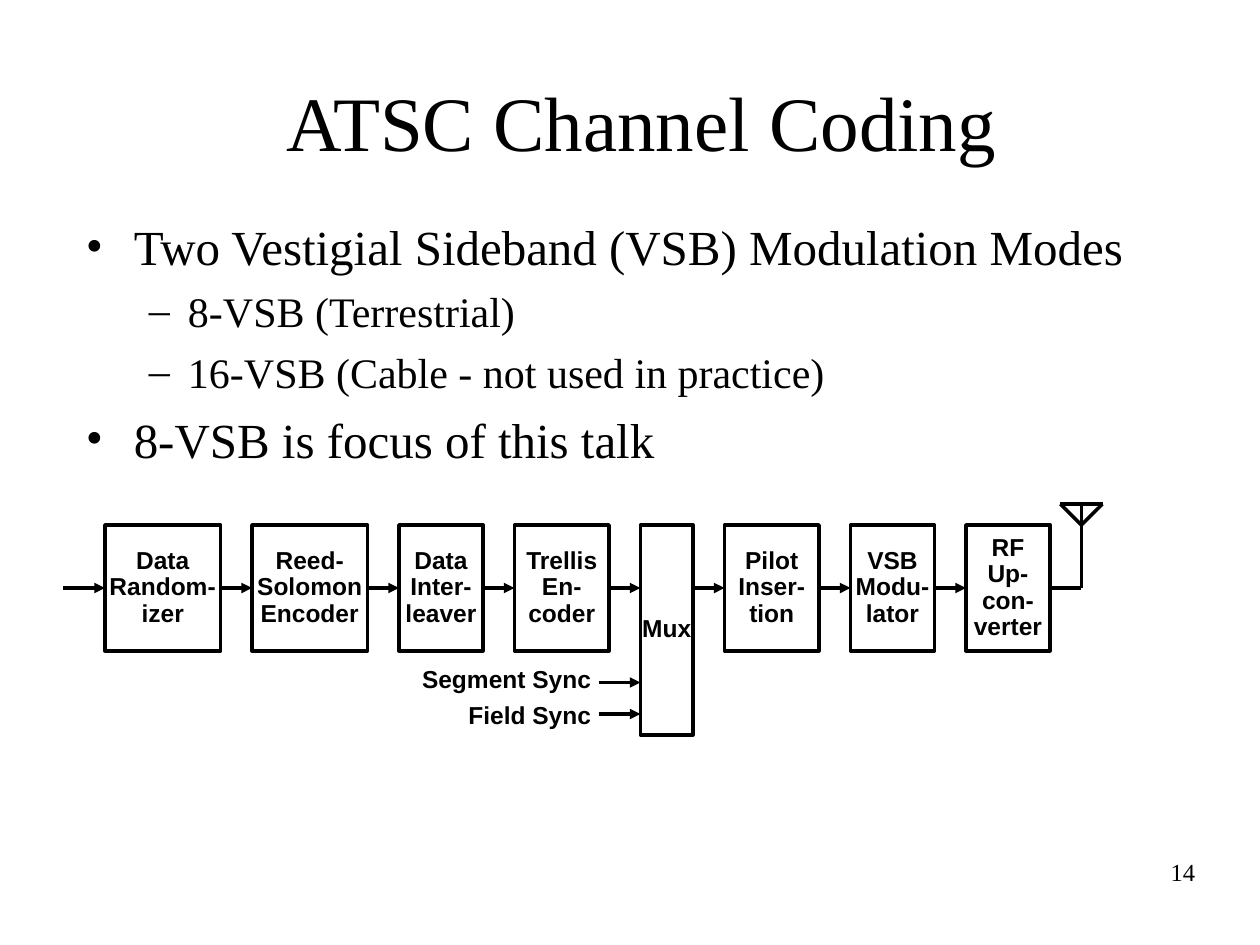
from dataclasses import dataclass
from typing import Optional

import pptx
import pptx.dml.color
import pptx.enum.shapes
import pptx.enum.text
import pptx.oxml
import pptx.oxml.ns
import pptx.util

Inches, Pt = pptx.util.Inches, pptx.util.Pt
ALIGN = pptx.enum.text.PP_ALIGN
ANCHOR = pptx.enum.text.MSO_ANCHOR
LEFT_SIDE, RIGHT_SIDE = 1, 3


@dataclass(frozen=True)
class Theme:
    ink: str = "000000"
    paper: str = "FFFFFF"
    serif: str = "Times New Roman"
    sans: str = "Arial"
    title: float = 44
    bullet: float = 28
    sub_bullet: float = 24
    label: float = 14
    line: float = 2


THEME = Theme()


@dataclass(frozen=True)
class Block:
    lines: tuple[str, ...]
    columns: int
    rows: int = 12


@dataclass(frozen=True)
class Bullet:
    text: str
    level: int = 0


# The slide is a grid of 120 columns by 90 rows.
CELLS_PER_INCH = 12
GAP = 3
FIRST_COLUMN = 10
TOP_ROW = 50
SIGNAL_ROW = 56
SYNC_ROWS = (65, 68)
LEAD = 4

BLOCKS = (
    Block(("Data", "Random-", "izer"), 11),
    Block(("Reed-", "Solomon", "Encoder"), 11),
    Block(("Data", "Inter-", "leaver"), 8),
    Block(("Trellis", "En-", "coder"), 9),
    Block(("Mux",), 5, 20),
    Block(("Pilot", "Inser-", "tion"), 9),
    Block(("VSB", "Modu-", "lator"), 8),
    Block(("RF", "Up-", "con-", "verter"), 8),
)
MUX = 4

BULLETS = (
    Bullet("Two Vestigial Sideband (VSB) Modulation Modes"),
    Bullet("8-VSB (Terrestrial)", 1),
    Bullet("16-VSB (Cable - not used in practice)", 1),
    Bullet("8-VSB is focus of this talk"),
)


def grid(cells: float) -> int:
    return Inches(cells / CELLS_PER_INCH)


def color(value: str) -> pptx.dml.color.RGBColor:
    return pptx.dml.color.RGBColor.from_string(value)


def add_xml(parent, tag: str, **attributes: str):
    element = pptx.oxml.parse_xml(f"<a:{tag} {pptx.oxml.ns.nsdecls('a')}/>")
    for name, value in attributes.items():
        element.set(name, value)
    parent.append(element)
    return element


def write(frame, lines, *, size: float, font: str = THEME.serif, bold: bool = False,
          align=ALIGN.LEFT, anchor=ANCHOR.TOP, spacing: Optional[float] = None,
          gap: float = 0, wrap: bool = True, margins=(0.1, 0.05, 0.1, 0.05)) -> None:
    """Fill a text frame, one paragraph per line; margins run left, top, right, bottom."""
    frame.word_wrap = wrap
    frame.auto_size = pptx.enum.text.MSO_AUTO_SIZE.NONE
    frame.vertical_anchor = anchor
    (frame.margin_left, frame.margin_top,
     frame.margin_right, frame.margin_bottom) = map(Inches, margins)
    for index, text in enumerate(lines):
        paragraph = frame.add_paragraph() if index else frame.paragraphs[0]
        paragraph.alignment = align
        if spacing:
            paragraph.line_spacing = spacing
        if index and gap:
            paragraph.space_before = Pt(gap)
        run = paragraph.add_run()
        run.text = text
        run.font.name, run.font.size, run.font.bold = font, Pt(size), bold
        run.font.color.rgb = color(THEME.ink)


def add_text_box(slide, left: float, top: float, width: float, height: float):
    return slide.shapes.add_textbox(*map(grid, (left, top, width, height))).text_frame


def add_bullets(slide) -> None:
    frame = add_text_box(slide, 7, 20, 105, 26)
    write(frame, [bullet.text for bullet in BULLETS], size=THEME.bullet)
    for index, (paragraph, bullet) in enumerate(zip(frame.paragraphs, BULLETS)):
        paragraph.level = bullet.level
        margin, hanging, before, mark = (
            (0.81, 0.31, 6, "–") if bullet.level else (0.38, 0.38, 7, "•"))
        if index:
            paragraph.space_before = Pt(before)
        if bullet.level:
            paragraph.runs[0].font.size = Pt(THEME.sub_bullet)
        properties = paragraph._p.get_or_add_pPr()
        properties.set("marL", str(Inches(margin)))
        properties.set("indent", str(-Inches(hanging)))
        add_xml(add_xml(properties, "buClr"), "srgbClr", val=THEME.ink)
        add_xml(properties, "buFont", typeface=THEME.serif)
        add_xml(properties, "buChar", char=mark)


def add_block(slide, block: Block, column: float):
    shape = slide.shapes.add_shape(
        pptx.enum.shapes.MSO_SHAPE.RECTANGLE,
        *map(grid, (column, TOP_ROW, block.columns, block.rows)))
    shape.shadow.inherit = False
    shape.fill.solid()
    shape.fill.fore_color.rgb = color(THEME.paper)
    shape.line.color.rgb = color(THEME.ink)
    shape.line.width = Pt(THEME.line)
    write(shape.text_frame, block.lines, size=THEME.label, font=THEME.sans, bold=True,
          align=ALIGN.CENTER, anchor=ANCHOR.MIDDLE, spacing=0.9, wrap=False,
          margins=(0, 0, 0, 0))
    return shape


def add_line(slide, start: tuple[float, float], end: tuple[float, float], *,
             arrow: bool = False, source=None, target=None) -> None:
    """Draw a line between grid points, joined to source and target blocks if given."""
    connector = slide.shapes.add_connector(
        pptx.enum.shapes.MSO_CONNECTOR.STRAIGHT, *map(grid, (*start, *end)))
    connector.line.color.rgb = color(THEME.ink)
    connector.line.width = Pt(THEME.line)
    if arrow:
        add_xml(connector.line._get_or_add_ln(), "tailEnd", type="triangle")
    add_xml(connector._element.spPr, "effectLst")
    if source is not None:
        connector.begin_connect(source, RIGHT_SIDE)
    if target is not None:
        connector.end_connect(target, LEFT_SIDE)


def add_chain(slide) -> None:
    column, start, source = FIRST_COLUMN, FIRST_COLUMN - LEAD, None
    for index, block in enumerate(BLOCKS):
        shape = add_block(slide, block, column)
        # The signal meets the tall Mux above the middle of its sides.
        joint = None if index == MUX else shape
        add_line(slide, (start, SIGNAL_ROW), (column, SIGNAL_ROW),
                 arrow=True, source=source, target=joint)
        if index == MUX:
            add_sync_inputs(slide, column)
        start, source = column + block.columns, joint
        column = start + GAP
    add_antenna(slide, start, source)


def add_sync_inputs(slide, column: float) -> None:
    for row in SYNC_ROWS:
        add_line(slide, (column - LEAD, row), (column, row), arrow=True)
    frame = add_text_box(slide, 39, 63, 18.5, 7)
    write(frame, ("Segment Sync", "Field Sync"), size=THEME.label, font=THEME.sans,
          bold=True, align=ALIGN.RIGHT, anchor=ANCHOR.MIDDLE, spacing=0.9, gap=5.5,
          margins=(0, 0.05, 0.1, 0.05))


def add_antenna(slide, start: float, source) -> None:
    mast, tip, arm = start + GAP, TOP_ROW - 2, 2
    add_line(slide, (start, SIGNAL_ROW), (mast, SIGNAL_ROW), source=source)
    add_line(slide, (mast, SIGNAL_ROW), (mast, tip))
    add_line(slide, (mast - arm, tip), (mast + arm, tip))
    for side in (-arm, arm):
        add_line(slide, (mast + side, tip), (mast, TOP_ROW))


def main() -> None:
    presentation = pptx.Presentation()
    presentation.slide_width, presentation.slide_height = Inches(10), Inches(7.5)
    slide = presentation.slides.add_slide(presentation.slide_layouts[5])
    title = slide.shapes.title
    title.left, title.top, title.width, title.height = map(grid, (5, 4, 112.2, 15))
    write(title.text_frame, ("ATSC Channel Coding",), size=THEME.title,
          align=ALIGN.CENTER, anchor=ANCHOR.MIDDLE)
    add_bullets(slide)
    add_chain(slide)
    write(add_text_box(slide, 90, 81, 25, 6), ("14",), size=THEME.label, align=ALIGN.RIGHT)
    presentation.save("out.pptx")


if __name__ == "__main__":
    main()
